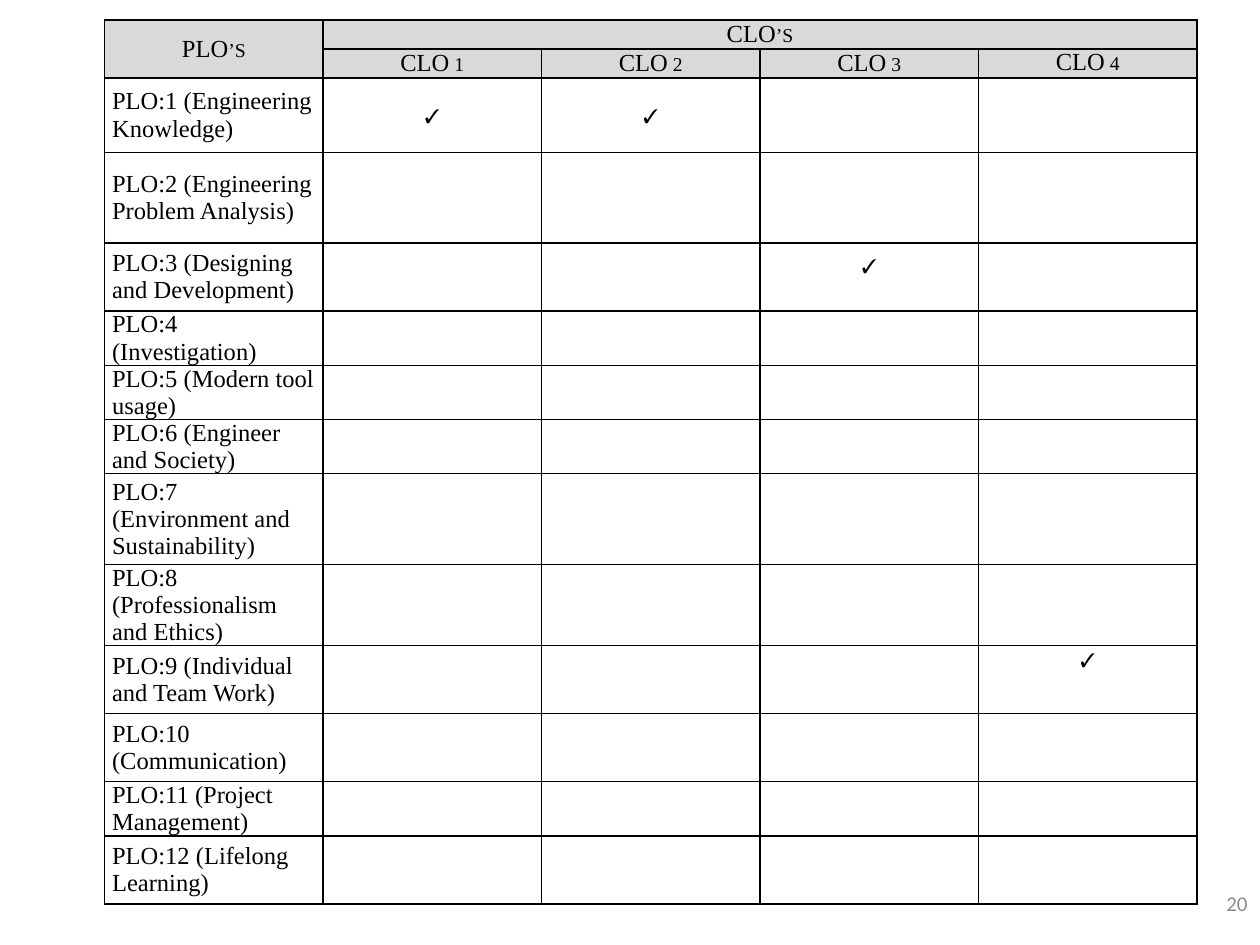
from lxml.etree import SubElement
from pptx import Presentation
from pptx.dml.color import RGBColor
from pptx.enum.text import MSO_ANCHOR, PP_ALIGN
from pptx.oxml.ns import qn
from pptx.util import Inches, Pt

BLACK = RGBColor(0x00, 0x00, 0x00)
WHITE = RGBColor(0xFF, 0xFF, 0xFF)
HEADER_GRAY = RGBColor(0xD9, 0xD9, 0xD9)
NUMBER_GRAY = RGBColor(0x8C, 0x8C, 0x8C)

CLOS = ["CLO 1", "CLO 2", "CLO 3", "CLO 4"]
HEADER_HEIGHT = 0.23
OUTCOMES = [
    ("PLO:1 (Engineering Knowledge)", 0.59, (1, 2)),
    ("PLO:2 (Engineering Problem Analysis)", 0.72, ()),
    ("PLO:3 (Designing and Development)", 0.54, (3,)),
    ("PLO:4 (Investigation)", 0.39, ()),
    ("PLO:5 (Modern tool usage)", 0.39, ()),
    ("PLO:6 (Engineer and Society)", 0.39, ()),
    ("PLO:7 (Environment and Sustainability)", 0.72, ()),
    ("PLO:8 (Professionalism and Ethics)", 0.59, ()),
    ("PLO:9 (Individual and Team Work)", 0.54, (4,)),
    ("PLO:10 (Communication)", 0.54, ()),
    ("PLO:11 (Project Management)", 0.39, ()),
    ("PLO:12 (Lifelong Learning)", 0.54, ()),
]
HEIGHTS = [HEADER_HEIGHT] * 2 + [height for _, height, _ in OUTCOMES]
COLUMN_WIDTH = 1.734


def style_cell(cell, fill):
    """Give a cell its margins, black borders and fill."""
    cell.margin_left = cell.margin_right = Inches(0.06)
    cell.margin_top = cell.margin_bottom = 0
    properties = cell._tc.get_or_add_tcPr()
    for side in ("a:lnL", "a:lnR", "a:lnT", "a:lnB"):
        border = SubElement(properties, qn(side), w=str(Pt(1)))
        solid = SubElement(border, qn("a:solidFill"))
        SubElement(solid, qn("a:srgbClr"), val=str(BLACK))
    cell.fill.solid()
    cell.fill.fore_color.rgb = fill


def write_text(frame, text, size, font, color, align):
    """Write one formatted paragraph and return its run."""
    paragraph = frame.paragraphs[0]
    paragraph.text = text
    paragraph.alignment = align
    run = paragraph.runs[0]
    run.font.size = Pt(size)
    run.font.name = font
    run.font.color.rgb = color
    return run


def write_cell(cell, text, centered=True, anchor=MSO_ANCHOR.MIDDLE):
    """Write a cell's text, in small caps when centered."""
    cell.vertical_anchor = anchor
    align = PP_ALIGN.CENTER if centered else PP_ALIGN.LEFT
    run = write_text(cell.text_frame, text, 14, "Times New Roman", BLACK, align)
    if centered:
        run.font._element.set("cap", "small")


def add_matrix(slide):
    """Add the table that maps programme outcomes to course outcomes."""
    columns = len(CLOS) + 1
    matrix = slide.shapes.add_table(
        len(HEIGHTS), columns, Inches(0.83), Inches(0.16),
        Inches(COLUMN_WIDTH * columns), Inches(sum(HEIGHTS))).table
    matrix.first_row = matrix.horz_banding = False
    for column in matrix.columns:
        column.width = Inches(COLUMN_WIDTH)
    for index, height in enumerate(HEIGHTS):
        matrix.rows[index].height = Inches(height)
        for cell in matrix.rows[index].cells:
            style_cell(cell, HEADER_GRAY if index < 2 else WHITE)

    matrix.cell(0, 0).merge(matrix.cell(1, 0))
    matrix.cell(0, 1).merge(matrix.cell(0, len(CLOS)))
    write_cell(matrix.cell(0, 0), "PLO’s")
    write_cell(matrix.cell(0, 1), "CLO’s")
    for column, clo in enumerate(CLOS, 1):
        anchor = MSO_ANCHOR.TOP if column == len(CLOS) else MSO_ANCHOR.MIDDLE
        write_cell(matrix.cell(1, column), clo, anchor=anchor)
    for row, (outcome, _, ticks) in enumerate(OUTCOMES, 2):
        write_cell(matrix.cell(row, 0), outcome, centered=False)
        for column in ticks:
            anchor = MSO_ANCHOR.TOP if column == len(CLOS) else MSO_ANCHOR.MIDDLE
            write_cell(matrix.cell(row, column), "✓", anchor=anchor)
            if column == 3:
                matrix.cell(row, column).margin_bottom = Inches(0.19)


def main():
    """Build and save the slide."""
    presentation = Presentation()
    presentation.slide_width, presentation.slide_height = Inches(10), Inches(7.5)
    slide = presentation.slides.add_slide(presentation.slide_layouts[6])
    add_matrix(slide)
    page_number = slide.shapes.add_textbox(
        Inches(7.67), Inches(6.97), Inches(2.33), Inches(0.4)).text_frame
    page_number.word_wrap = True
    page_number.vertical_anchor = MSO_ANCHOR.MIDDLE
    write_text(page_number, "20", 12, "Calibri", NUMBER_GRAY, PP_ALIGN.RIGHT)
    presentation.save("out.pptx")


if __name__ == "__main__":
    main()
